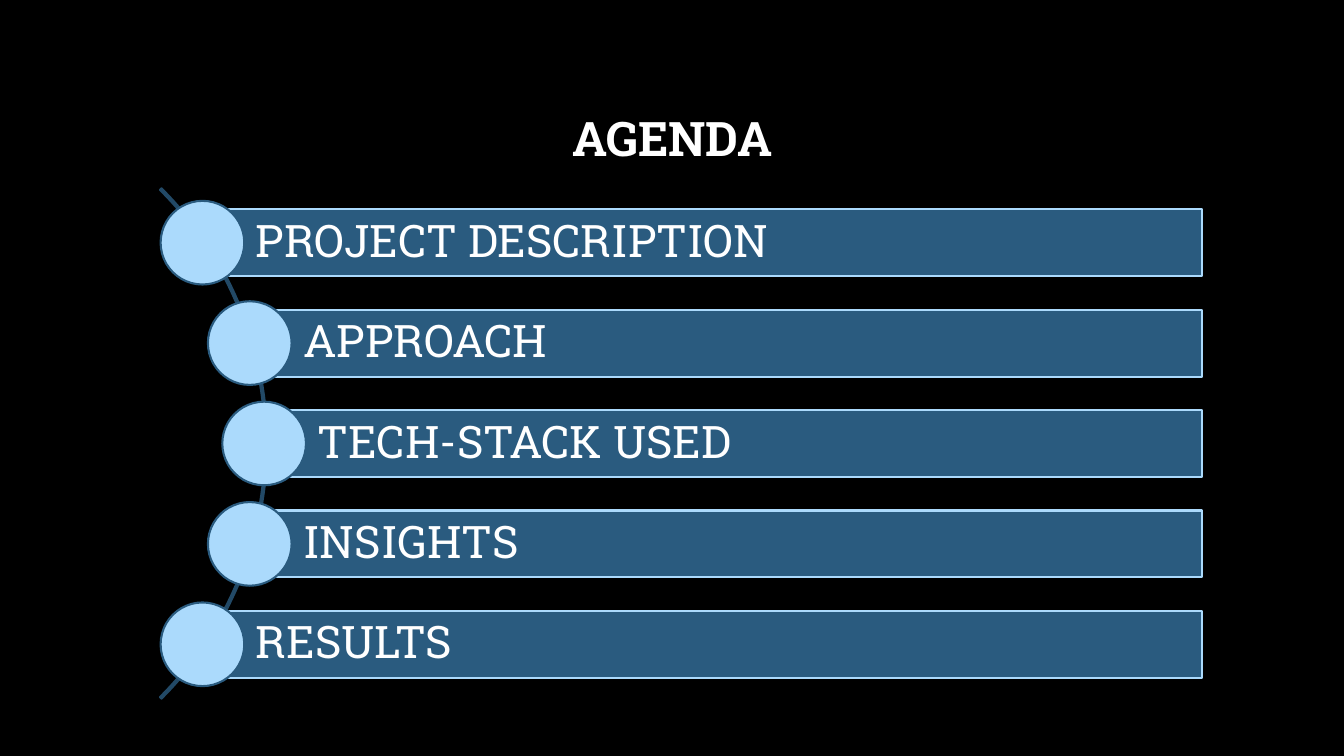
import math

import pptx
import pptx.dml.color
import pptx.enum.shapes
import pptx.enum.text
import pptx.util

SLIDE_W, SLIDE_H = 13.33, 7.5
FONT = "Roboto Slab"
WHITE, SKY, STEEL, NAVY = "FFFFFF", "ABDAFC", "2A5B7F", "224966"
TOPICS = ["PROJECT DESCRIPTION", "APPROACH", "TECH-STACK USED", "INSIGHTS", "RESULTS"]
SHAPES = pptx.enum.shapes.MSO_SHAPE
ALIGN = pptx.enum.text.PP_ALIGN


def color(hex_code):
    return pptx.dml.color.RGBColor.from_string(hex_code)


def inches(*lengths):
    return [pptx.util.Inches(length) for length in lengths]


def add_outlined(slide, preset, box, fill, line):
    shape = slide.shapes.add_shape(preset, *inches(*box))
    shape.shadow.inherit = False
    if fill:
        shape.fill.solid()
        shape.fill.fore_color.rgb = color(fill)
    else:
        shape.fill.background()
    shape.line.color.rgb = color(line)
    shape.line.width = pptx.util.Pt(1.5)
    return shape


def write(shape, text, size, align, left_inset=0.1, bold=False):
    frame = shape.text_frame
    frame.word_wrap = True
    frame.vertical_anchor = pptx.enum.text.MSO_ANCHOR.MIDDLE
    frame.margin_left, frame.margin_right = inches(left_inset, 0.09)
    paragraph = frame.paragraphs[0]
    paragraph.alignment = align
    paragraph.line_spacing = 0.9
    run = paragraph.add_run()
    run.text = text
    run.font.name = FONT
    run.font.size = pptx.util.Pt(size)
    run.font.bold = bold
    run.font.color.rgb = color(WHITE)


def add_title(slide, box):
    write(slide.shapes.add_textbox(*inches(*box)), "AGENDA", 34, ALIGN.CENTER, bold=True)


def add_curved_list(slide, box, topics):
    """Stack topic bars whose left ends and dots follow an arc."""
    left, top, width, height = box
    pitch = height / len(topics)
    bar_h, dot = pitch * 2 / 3, pitch * 5 / 6
    middle = top + height / 2
    arc_size = 7.16
    arc_x = left - 2.52
    bend = arc_size / 2 - 0.03

    arc_box = (arc_x - arc_size / 2, middle - arc_size / 2, arc_size, arc_size)
    arc = add_outlined(slide, SHAPES.BLOCK_ARC, arc_box, None, NAVY)
    for index, angle_or_thickness in enumerate((189, 27, 0.003)):
        arc.adjustments[index] = angle_or_thickness

    for row, topic in enumerate(topics):
        y = top + pitch * (row + 0.5)
        x = arc_x + math.sqrt(bend ** 2 - (y - middle) ** 2)
        bar_box = (x, y - bar_h / 2, left + width - x, bar_h)
        bar = add_outlined(slide, SHAPES.RECTANGLE, bar_box, STEEL, SKY)
        write(bar, topic, 32, ALIGN.LEFT, left_inset=0.53)
        dot_box = (x - dot / 2, y - dot / 2, dot, dot)
        add_outlined(slide, SHAPES.OVAL, dot_box, SKY, STEEL)


def main():
    deck = pptx.Presentation()
    deck.slide_width, deck.slide_height = inches(SLIDE_W, SLIDE_H)
    slide = deck.slides.add_slide(deck.slide_layouts[6])
    slide.background.fill.solid()
    slide.background.fill.fore_color.rgb = color("000000")
    add_title(slide, (1, 0.67, SLIDE_W - 2, 1.45))
    add_curved_list(slide, (1.59, 1.91, 10.33, 4.98), TOPICS)
    deck.save("out.pptx")


if __name__ == "__main__":
    main()
